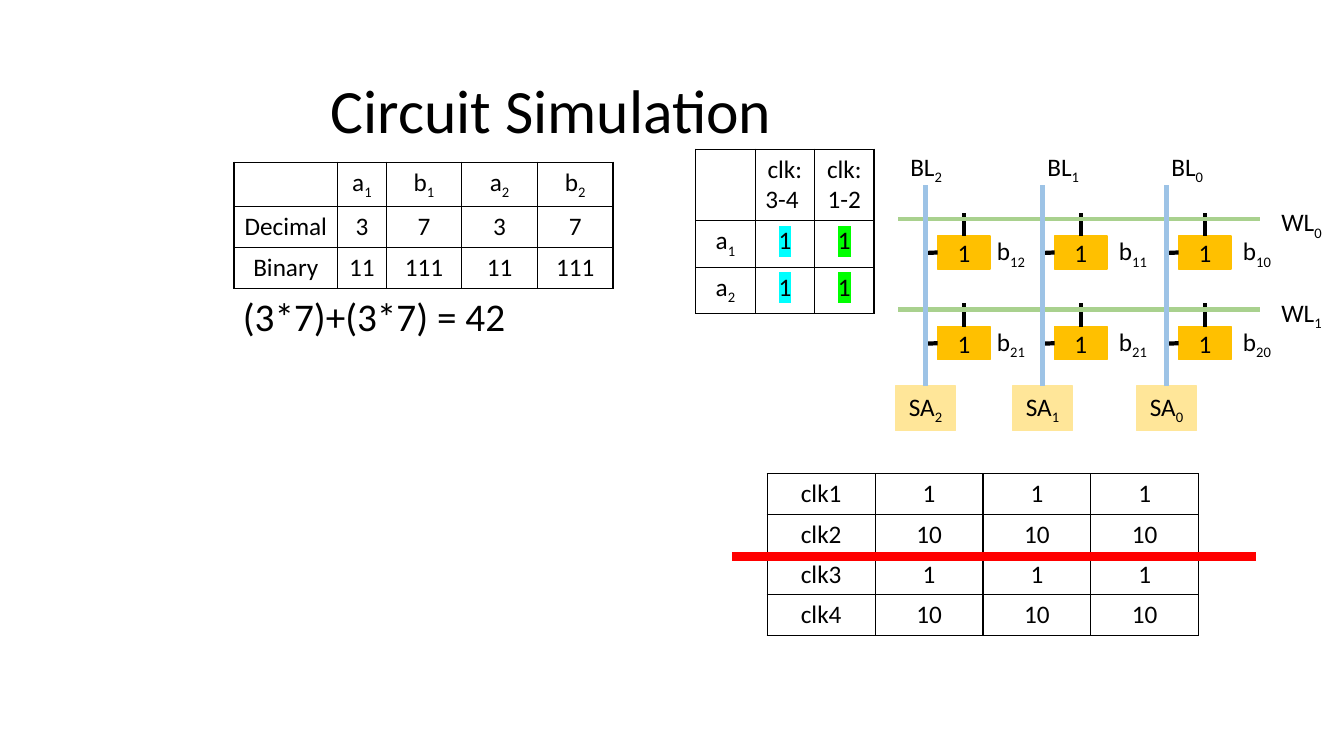
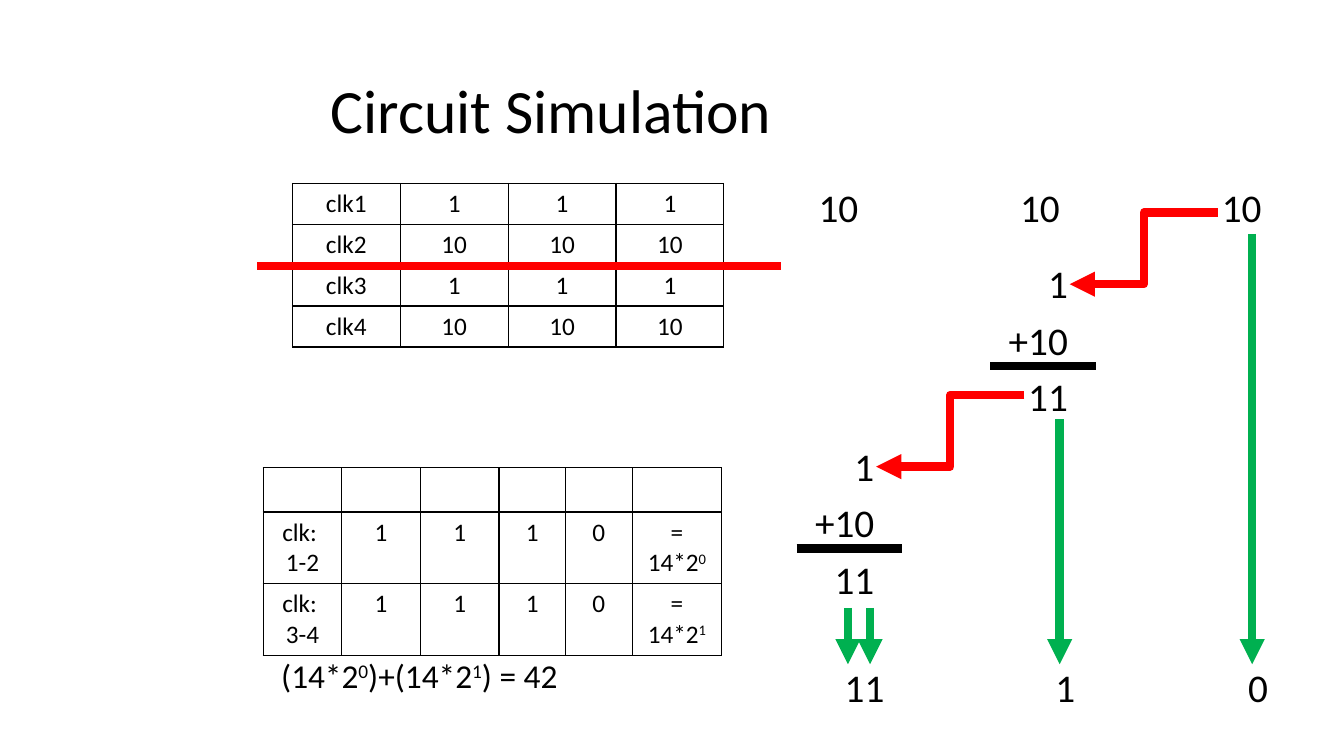
from lxml.etree import SubElement
from pptx import Presentation
from pptx.dml.color import RGBColor
from pptx.enum.shapes import MSO_CONNECTOR, MSO_SHAPE
from pptx.enum.text import MSO_ANCHOR, MSO_AUTO_SIZE, PP_ALIGN
from pptx.oxml.ns import qn
from pptx.util import Inches, Pt

FONT = "Calibri"
BLACK = "000000"
RED = "FF0000"
GREEN = "00B050"
CELL_FILL = "FFC000"
SENSE_FILL = "FFE699"
BIT_LINE = "9DC3E6"
WORD_LINE = "A9D18E"
FIRST_PASS = "00FF00"
SECOND_PASS = "00FFFF"
BASELINES = {"_": "-25000", "^": "30000"}


def color(value):
    return RGBColor.from_string(value)


def put_text(frame, text, size=18, align=PP_ALIGN.LEFT, spacing=None, before=None, highlight=None):
    """Fill a frame; "|" parts the runs, a leading "_" lowers a run and "^" raises it."""
    for number, line in enumerate(text.split("\n")):
        paragraph = frame.paragraphs[0] if number == 0 else frame.add_paragraph()
        paragraph.alignment = align
        paragraph.line_spacing = spacing
        paragraph.space_before = before
        for part in filter(None, line.split("|")):
            run = paragraph.add_run()
            run.text = part.lstrip("_^")
            run.font.name = FONT
            run.font.size = Pt(size)
            run.font.color.rgb = color(BLACK)
            properties = run._r.get_or_add_rPr()
            if part[0] in BASELINES:
                properties.set("baseline", BASELINES[part[0]])
            if highlight:
                mark = SubElement(properties, qn("a:highlight"))
                SubElement(mark, qn("a:srgbClr")).set("val", highlight)
                properties.find(qn("a:solidFill")).addnext(mark)


def add_text(slide, left, top, width, height, text, **text_format):
    box = slide.shapes.add_textbox(Inches(left), Inches(top), Inches(width), Inches(height))
    box.text_frame.word_wrap = True
    put_text(box.text_frame, text, **text_format)


def add_large_text(slide, left, top, width, height, text, size=28, spacing=0.9, **text_format):
    add_text(slide, left, top, width, height, text, size=size, spacing=spacing,
             before=Pt(10), **text_format)


def add_line(slide, start, end, line_color, width=6, arrow=False, kind=MSO_CONNECTOR.STRAIGHT):
    line = slide.shapes.add_connector(kind, *(Inches(value) for value in (*start, *end)))
    line.line.color.rgb = color(line_color)
    line.line.width = Pt(width)
    if arrow:
        SubElement(line.line._get_or_add_ln(), qn("a:tailEnd")).set("type", "triangle")
    SubElement(line._element.spPr, qn("a:effectLst"))
    return line


def add_rectangle(slide, left, top, width, height, text, fill):
    shape = slide.shapes.add_shape(MSO_SHAPE.RECTANGLE, Inches(left), Inches(top),
                                   Inches(width), Inches(height))
    shape.shadow.inherit = False
    shape.fill.solid()
    shape.fill.fore_color.rgb = color(fill)
    shape.line.color.rgb = color(fill)
    shape.line.width = Pt(1)
    frame = shape.text_frame
    frame.margin_left = frame.margin_right = frame.margin_top = frame.margin_bottom = 0
    frame.vertical_anchor = MSO_ANCHOR.MIDDLE
    put_text(frame, text, align=PP_ALIGN.CENTER)
    return shape


def outline_cell(cell):
    properties = cell._tc.get_or_add_tcPr()
    for side in ("lnL", "lnR", "lnT", "lnB"):
        border = SubElement(properties, qn(f"a:{side}"), w=str(Pt(1)))
        SubElement(SubElement(border, qn("a:solidFill")), qn("a:srgbClr")).set("val", BLACK)
    cell.fill.background()


def add_grid(slide, left, top, widths, heights, rows, highlights=None):
    """Add an outlined table; highlights maps (row, column) to a marker colour."""
    table = slide.shapes.add_table(len(heights), len(widths), Inches(left), Inches(top),
                                   Inches(sum(widths)), Inches(sum(heights))).table
    table.first_row = table.horz_banding = False
    for column, width in zip(table.columns, widths):
        column.width = Inches(width)
    for row, height in zip(table.rows, heights):
        row.height = Inches(height)
    for row_number, texts in enumerate(rows):
        for column_number, text in enumerate(texts):
            cell = table.cell(row_number, column_number)
            outline_cell(cell)
            put_text(cell.text_frame, text, align=PP_ALIGN.CENTER,
                     highlight=(highlights or {}).get((row_number, column_number)))


def add_clock_table(slide, left, top):
    values = ["1", "10", "1", "10"]
    rows = [[f"clk{number}"] + [value] * 3 for number, value in enumerate(values, 1)]
    add_grid(slide, left, top, [1.07] * 4, [0.4] * 4, rows)
    add_line(slide, (left - 0.35, top + 0.82), (left + 4.85, top + 0.82), RED)


def add_memory_cell(slide, bit_x, word_y):
    cell = add_rectangle(slide, bit_x + 0.12, word_y + 0.17, 0.52, 0.33, "1", CELL_FILL)
    middle_x, middle_y = bit_x + 0.38, word_y + 0.34
    stub = add_line(slide, (bit_x, middle_y), (bit_x + 0.12, middle_y), BLACK, width=3)
    stub.end_connect(cell, 1)
    gate = add_line(slide, (middle_x, word_y + 0.17), (middle_x, word_y - 0.06), BLACK, width=3)
    gate.begin_connect(cell, 0)


def add_circuit(slide, left, top):
    columns = [(2, 0.29, 0.04, 0.90), (1, 1.45, 1.40, 2.11), (0, 2.68, 2.63, 3.34)]
    word_lines = [(0.72, ["12", "11", "10"]), (1.62, ["21", "21", "20"])]
    label_size = (0.66, 0.4)
    for number, (offset, bits) in enumerate(word_lines):
        word_y = top + offset
        for (_, bit_x, _, label_x), bit in zip(columns, bits):
            add_memory_cell(slide, left + bit_x, word_y)
            add_text(slide, left + label_x, word_y + 0.12, *label_size, f"b|_{bit}")
        add_line(slide, (left + 0.02, word_y), (left + 3.61, word_y), WORD_LINE, width=3)
        add_text(slide, left + 3.72, word_y - 0.17, *label_size, f"WL|_{number}")
    for number, bit_x, label_x, _ in columns:
        amplifier = add_rectangle(slide, left + bit_x - 0.3, top + 2.38, 0.6, 0.44,
                                  f"SA|_{number}", SENSE_FILL)
        bit_line = add_line(slide, (left + bit_x, top + 2.38), (left + bit_x, top + 0.39),
                            BIT_LINE, width=3)
        bit_line.begin_connect(amplifier, 0)
        add_text(slide, left + label_x, top, *label_size, f"BL|_{number}")


def add_carry_sum(slide, left, top):
    """Place one column addition and the arrow that carries into it."""
    add_large_text(slide, left, top, 1.2, 1.73, "1\n+10\n11", align=PP_ALIGN.RIGHT)
    add_line(slide, (left + 0.33, top + 1.05), (left + 1.38, top + 1.05), BLACK)
    add_line(slide, (left + 2.59, top - 0.47), (left + 1.12, top + 0.24), RED,
             arrow=True, kind=MSO_CONNECTOR.ELBOW)


def add_addition(slide, left, top):
    for column in range(3):
        add_large_text(slide, left + 2 * column, top, 0.8, 0.56, "10")
    for step in range(2):
        add_carry_sum(slide, left + 1.47 - 1.92 * step, top + 0.76 + 1.81 * step)
    for x, start in [(0.39, 4.21), (0.61, 4.21), (2.49, 2.34), (4.4, 0.5)]:
        add_line(slide, (left + x, top + start), (left + x, top + 4.77), GREEN, arrow=True)
    for x, digits in [(0.26, "11"), (2.35, "1"), (4.26, "0")]:
        add_large_text(slide, left + x, top + 4.76, 0.8, 0.56, digits)


def new_slide(presentation):
    slide = presentation.slides.add_slide(presentation.slide_layouts[5])
    title = slide.shapes.title
    title.left, title.top, title.width, title.height = (
        Inches(value) for value in (3.18, 0.4, 9.24, 1.45))
    title.text_frame.auto_size = MSO_AUTO_SIZE.NONE
    title.text_frame.vertical_anchor = MSO_ANCHOR.MIDDLE
    put_text(title.text_frame, "Circuit Simulation", size=44, spacing=0.9)
    return slide


def build_circuit_slide(presentation):
    slide = new_slide(presentation)
    add_grid(slide, 2.32, 1.61, [1.03, 0.48, 0.75, 0.75, 0.75], [0.44, 0.4, 0.4], [
        ["", "a|_1", "b|_1", "a|_2", "b|_2"],
        ["Decimal", "3", "7", "3", "7"],
        ["Binary", "11", "111", "11", "111"],
    ])
    pass_colors = {(row, column): marker for row in (1, 2)
                   for column, marker in ((1, SECOND_PASS), (2, FIRST_PASS))}
    add_grid(slide, 6.9, 1.48, [0.59] * 3, [0.7, 0.46, 0.46], [
        ["", "clk: 3-4 ", "clk: 1-2"],
        ["a|_1", "1", "1"],
        ["a|_2", "1", "1"],
    ], pass_colors)
    add_circuit(slide, 8.89, 1.45)
    add_large_text(slide, 2.31, 2.9, 3.08, 0.59, "(3*7)+(3*7) = 42")
    add_clock_table(slide, 7.61, 4.7)


def build_addition_slide(presentation):
    slide = new_slide(presentation)
    add_clock_table(slide, 2.9, 1.82)
    add_addition(slide, 8.02, 1.82)
    add_grid(slide, 2.61, 4.64, [0.78, 0.78, 0.78, 0.66, 0.66, 0.89], [0.44, 0.71, 0.71], [
        [""] * 6,
        ["clk: \n1-2", "1", "1", "1", "0", "= 14*2|^0"],
        ["clk: \n3-4", "1", "1", "1", "0", "= 14*2|^1"],
    ])
    add_large_text(slide, 2.69, 6.53, 3.08, 0.59, "(14*2|^0|)+(14*2|^1|) = 42",
                   size=23.8, spacing=0.8)


def main():
    presentation = Presentation()
    presentation.slide_width = Inches(13.33)
    presentation.slide_height = Inches(7.5)
    build_circuit_slide(presentation)
    build_addition_slide(presentation)
    presentation.save("out.pptx")


if __name__ == "__main__":
    main()
